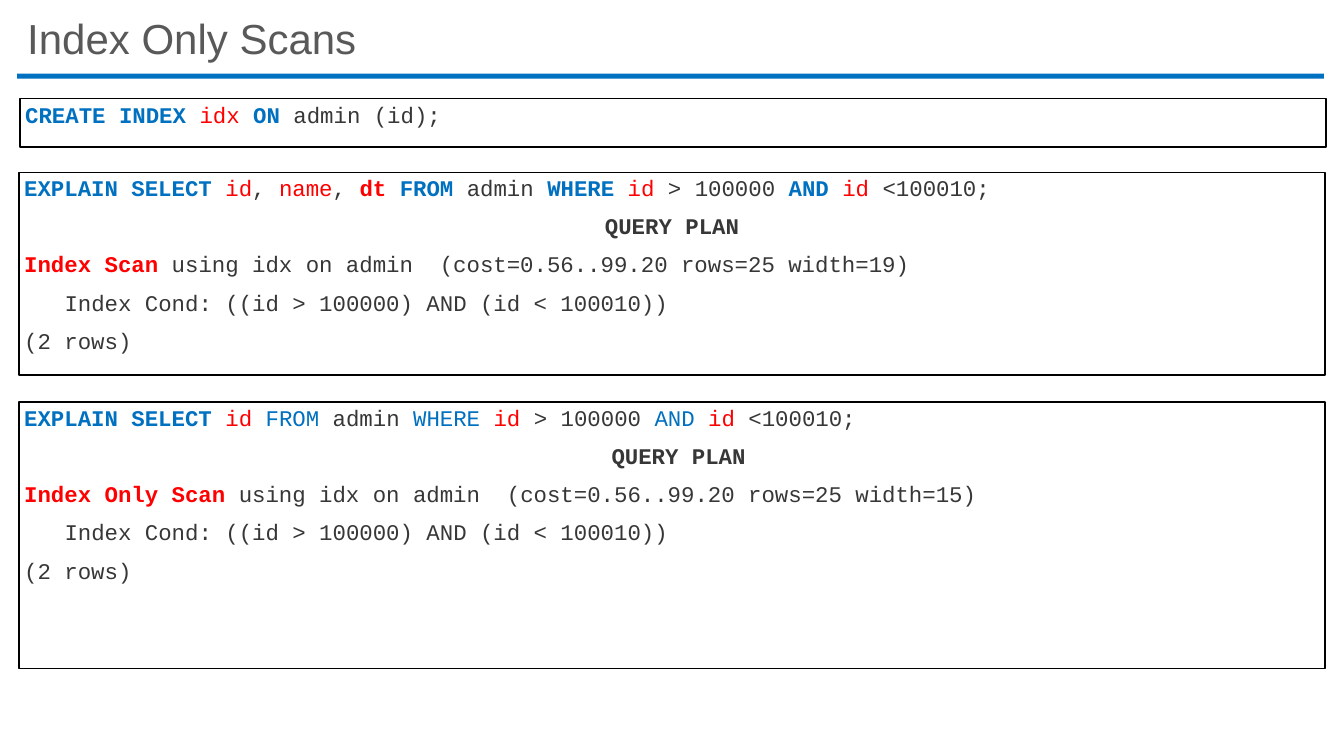
from pptx import Presentation
from pptx.dml.color import RGBColor
from pptx.enum.shapes import MSO_SHAPE
from pptx.enum.text import MSO_ANCHOR, MSO_AUTO_SIZE, PP_ALIGN
from pptx.util import Inches, Pt

BLUE, RED, DARK, GREY, BLACK = "0070C0", "FF0000", "373737", "595959", "000000"

# Span styles: colour and weight
KEYWORD, PLAIN_KEYWORD = (BLUE, True), (BLUE, False)
STRONG, NAME = (RED, True), (RED, False)
HEADING, CODE = (DARK, True), (DARK, False)


def color(value):
    return RGBColor.from_string(value)


def apply(target, values):
    for name, value in values.items():
        setattr(target, name, value)


class SlideBuilder:
    title_font = {"name": "Arial", "size": Pt(30), "bold": False}
    code_font = {"name": "Courier New", "size": Pt(16)}
    code_frame = {
        "word_wrap": True,
        "vertical_anchor": MSO_ANCHOR.TOP,
        **{f"margin_{side}": Inches(0.05) for side in ("left", "top", "right", "bottom")},
    }
    code_spacing = {"line_spacing": 0.9, "space_before": Pt(10)}

    def __init__(self, deck):
        self.slide = deck.slides.add_slide(deck.slide_layouts[5])

    def title(self, text, left, top, width, height):
        box = self.slide.shapes.title
        apply(box, {"left": Inches(left), "top": Inches(top),
                    "width": Inches(width), "height": Inches(height)})
        frame = box.text_frame
        apply(frame, {"word_wrap": True, "auto_size": MSO_AUTO_SIZE.NONE,
                      "vertical_anchor": MSO_ANCHOR.MIDDLE})
        para = frame.paragraphs[0]
        apply(para, {"alignment": PP_ALIGN.LEFT, "line_spacing": 0.9})
        self.span(para, text, self.title_font, GREY)

    def rectangle(self, left, top, width, height, fill=None, line=None):
        box = self.slide.shapes.add_shape(
            MSO_SHAPE.RECTANGLE, Inches(left), Inches(top), Inches(width), Inches(height))
        box.shadow.inherit = False
        if fill:
            box.fill.solid()
            box.fill.fore_color.rgb = color(fill)
        else:
            box.fill.background()
        if line:
            box.line.color.rgb = color(line)
            box.line.width = Pt(1)
        else:
            box.line.fill.background()
        return box

    def span(self, para, text, font, tint):
        span = para.add_run()
        span.text = text
        apply(span.font, font)
        span.font.color.rgb = color(tint)

    def code_box(self, left, top, width, height, lines):
        frame = self.rectangle(left, top, width, height, line=BLACK).text_frame
        apply(frame, self.code_frame)
        for number, (alignment, indent, spans) in enumerate(lines):
            para = frame.add_paragraph() if number else frame.paragraphs[0]
            apply(para, {"alignment": alignment, **self.code_spacing})
            if indent:
                para._p.get_or_add_pPr().set("marL", str(Inches(indent)))
            for text, (tint, bold) in spans:
                self.span(para, text, {**self.code_font, "bold": bold}, tint)


def left_line(*spans, indent=0):
    return PP_ALIGN.LEFT, indent, spans


def plan(query, scan, width, heading_indent=0):
    """The lines of a query followed by its plan."""
    return [
        left_line(*query),
        (PP_ALIGN.CENTER, heading_indent, [("QUERY PLAN", HEADING)]),
        left_line((scan, STRONG),
                  (f" using idx on admin  (cost=0.56..99.20 rows=25 width={width})", CODE)),
        left_line(("Index Cond: ((id > 100000) AND (id < 100010))", CODE), indent=0.4),
        left_line(("(2 rows)", CODE)),
    ]


def condition(keyword):
    """The end of a query, from FROM on, with its keywords in one style."""
    return [("FROM", keyword), (" admin ", CODE), ("WHERE ", keyword), ("id", NAME),
            (" > 100000 ", CODE), ("AND ", keyword), ("id", NAME), (" <100010;", CODE)]


def main():
    deck = Presentation()
    apply(deck, {"slide_width": Inches(13.33), "slide_height": Inches(7.5)})
    builder = SlideBuilder(deck)

    # Title and rule
    builder.rectangle(0.17, 0.73, 12.96, 0.05, fill=BLUE)
    builder.title("Index Only Scans", 0.17, 0.15, 12.96, 0.52)

    # Index definition
    builder.code_box(0.2, 0.98, 12.95, 0.48, [
        left_line(("CREATE INDEX ", KEYWORD), ("idx ", NAME),
                  ("ON", KEYWORD), (" admin (id);", CODE))])

    # Index scan
    query = [("EXPLAIN SELECT ", KEYWORD), ("id", NAME), (", ", CODE), ("name", NAME),
             (", ", CODE), ("dt ", STRONG), *condition(KEYWORD)]
    builder.code_box(0.19, 1.71, 12.95, 2.01, plan(query, "Index Scan", 19))

    # Index only scan
    query = [("EXPLAIN SELECT ", KEYWORD), ("id ", NAME), *condition(PLAIN_KEYWORD)]
    builder.code_box(0.19, 3.99, 12.95, 2.64,
                     plan(query, "Index Only Scan", 15, heading_indent=0.13))

    deck.save("out.pptx")


if __name__ == "__main__":
    main()
